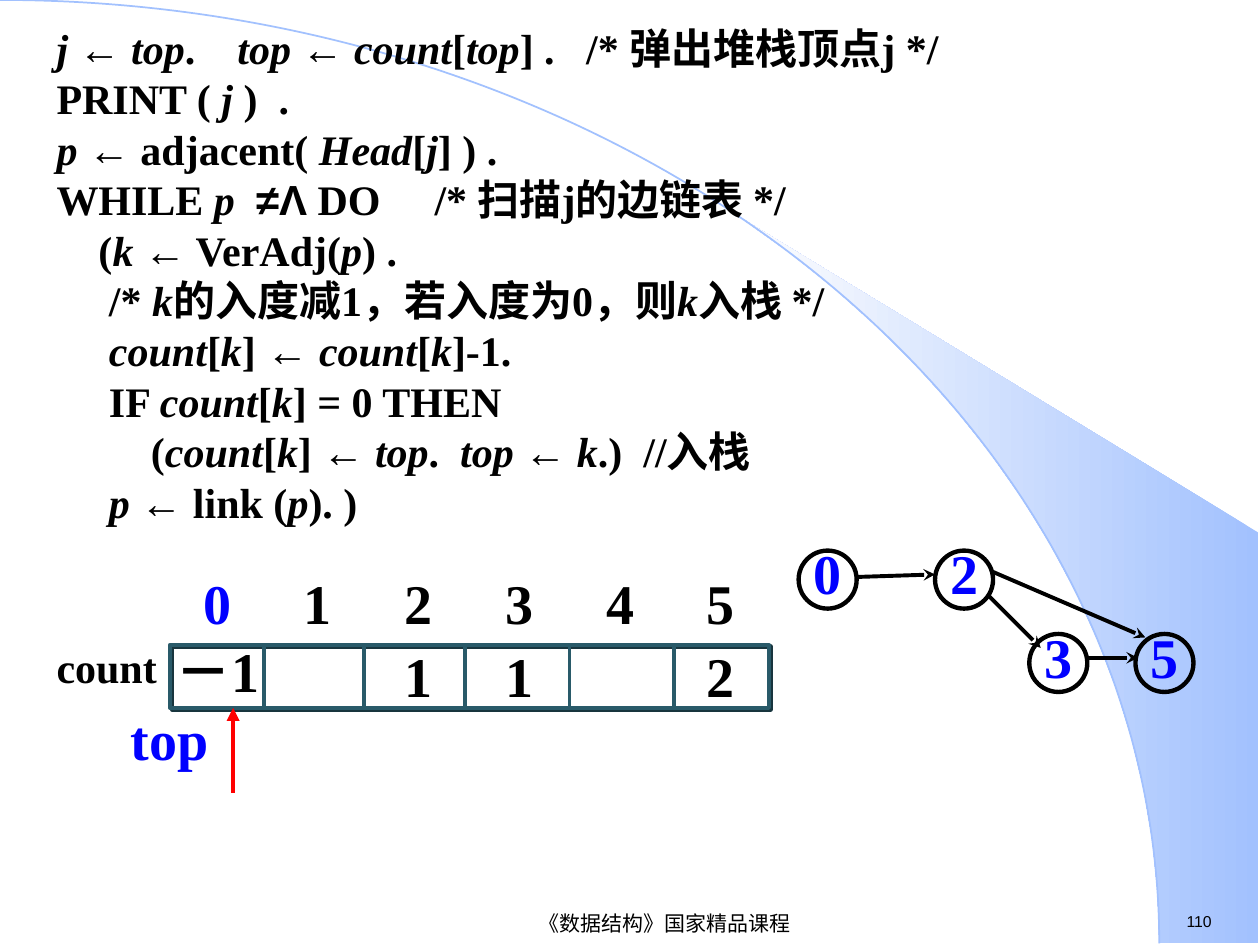
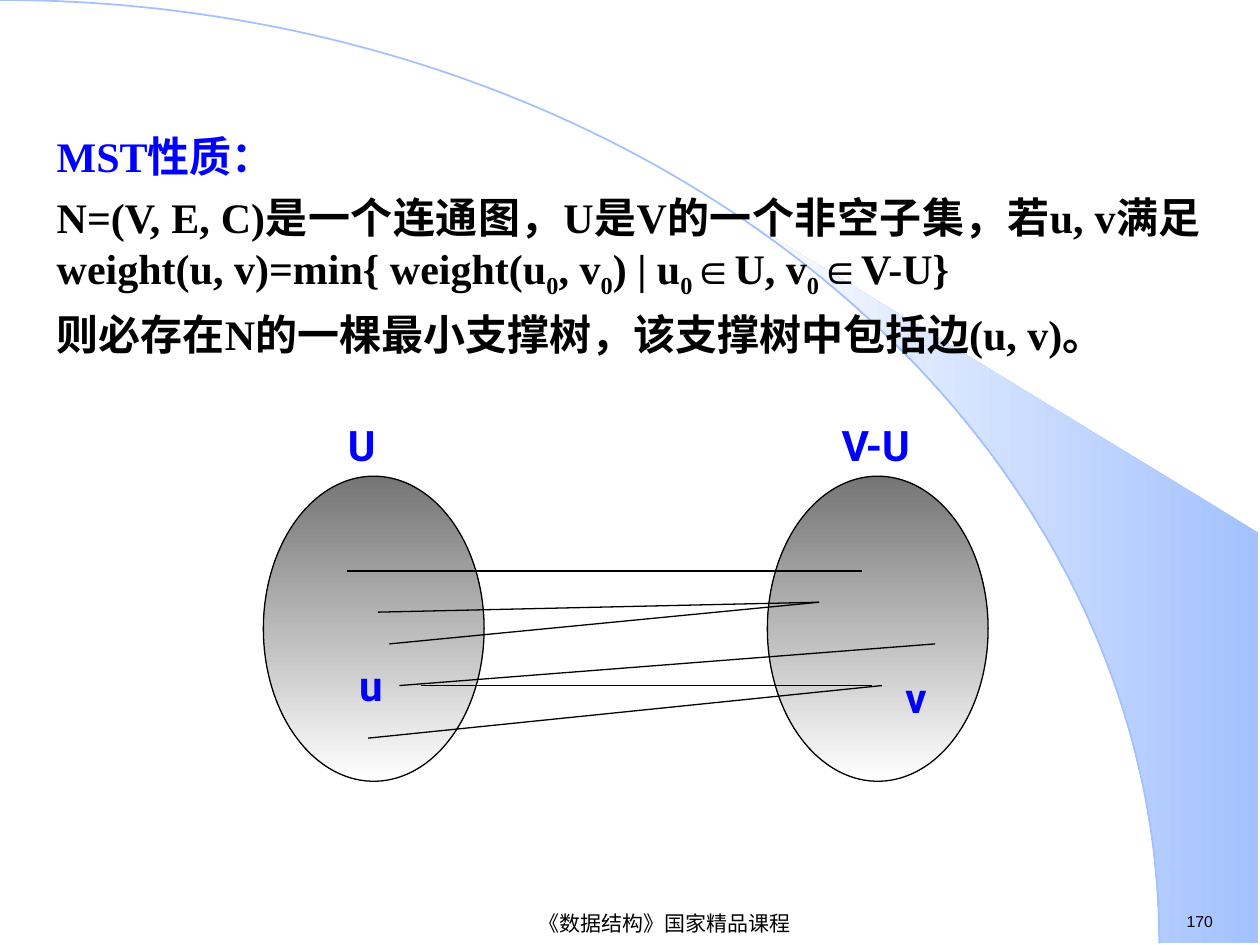
from dataclasses import dataclass
from itertools import groupby
from math import asin, cos, pi, sin
from typing import Callable, Optional

from lxml.etree import SubElement
from pptx import Presentation
from pptx.dml.color import RGBColor
from pptx.enum.shapes import MSO_CONNECTOR, MSO_SHAPE as Preset
from pptx.enum.text import MSO_ANCHOR as Anchor, MSO_AUTO_SIZE as AutoSize, PP_ALIGN as Align
from pptx.oxml.ns import qn
from pptx.slide import Slide
from pptx.util import Cm, Pt

BLACK, BLUE, RED = "000000", "0000FF", "FF0000"
SKY, WHITE, GREY = "A2C1FE", "FEFEFE", "757575"
TEAL, TEAL_SHADOW = "295A69", "18353E"
SERIF, SANS, LABEL_SANS = "Times New Roman", "Arial", "Roboto"
SYMBOLS = "←≠Λ"
FOOTER = "《数据结构》国家精品课程"
WIDTH, HEIGHT = 25.4, 19.05


@dataclass(frozen=True)
class Label:
    text: str
    left: float
    top: float
    width: float
    height: float = 1.62
    size: float = 32
    color: str = BLACK
    font: str = SERIF
    bold: bool = True
    align: Align = Align.CENTER
    wrap: bool = True


@dataclass(frozen=True)
class Line:
    x1: float
    y1: float
    x2: float
    y2: float
    color: str = BLACK
    weight: float = 2.25
    arrow: Optional[str] = None


@dataclass(frozen=True)
class Node:
    name: str
    left: float
    top: float


def rgb(value: str) -> RGBColor:
    return RGBColor.from_string(value)


def style_font(font, size: float, color: str, name: str = SERIF, bold: bool = True) -> None:
    font.size, font.name, font.bold = Pt(size), name, bold
    font.color.rgb = rgb(color)


def add_label(slide: Slide, label: Label):
    box = slide.shapes.add_textbox(Cm(label.left), Cm(label.top), Cm(label.width), Cm(label.height))
    frame = box.text_frame
    frame.word_wrap = label.wrap
    frame.text = label.text
    paragraph = frame.paragraphs[0]
    paragraph.alignment = label.align
    style_font(paragraph.runs[0].font, label.size, label.color, label.font, label.bold)
    return box


def add_line(slide: Slide, line: Line) -> None:
    connector = slide.shapes.add_connector(
        MSO_CONNECTOR.STRAIGHT, Cm(line.x1), Cm(line.y1), Cm(line.x2), Cm(line.y2))
    connector.line.color.rgb = rgb(line.color)
    connector.line.width = Pt(line.weight)
    properties = connector._element.spPr
    if line.arrow:
        SubElement(properties.find(qn("a:ln")), qn("a:tailEnd"), type=line.arrow)
    SubElement(properties, qn("a:effectLst"))


def add_outline(slide: Slide, preset: Preset, left: float, top: float, width: float,
                height: float, color: str, weight: float):
    shape = slide.shapes.add_shape(preset, Cm(left), Cm(top), Cm(width), Cm(height))
    shape.shadow.inherit = False
    shape.fill.background()
    shape.line.color.rgb = rgb(color)
    shape.line.width = Pt(weight)
    return shape


def fill_gradient(shape, start: str, end: str, angle: float) -> None:
    shape.fill.gradient()
    shape.fill.gradient_angle = angle
    for stop, color in zip(shape.fill.gradient_stops, (start, end)):
        stop.color.rgb = rgb(color)


def make_italic(font) -> None:
    font.italic = True


def make_subscript(font) -> None:
    font._element.set("baseline", "-25000")


def add_marked_runs(paragraph, text: str, color: str, mark: Callable) -> None:
    """Write text in which the parts between underscores get the mark."""
    for index, part in enumerate(text.split("_")):
        for is_symbol, letters in groupby(part, key=lambda letter: letter in SYMBOLS):
            run = paragraph.add_run()
            run.text = "".join(letters)
            style_font(run.font, 24, color, SANS if is_symbol else SERIF)
            if index % 2:
                mark(run.font)


def next_paragraph(frame, index: int):
    paragraph = frame.add_paragraph() if index else frame.paragraphs[0]
    paragraph.alignment = Align.JUSTIFY
    return paragraph


# Shared backdrop: shaded wedge, arc and footer, placed on the master
def add_backdrop(presentation, slide: Slide) -> None:
    radius_x, radius_y, steps = 23.37, 19.02, 16
    first = asin(0.64)
    angles = [first + (pi / 2 - first) * step / steps for step in range(steps + 1)]
    curve = [(radius_x * sin(angle), radius_y * (1 - cos(angle))) for angle in angles]
    outline = [(Cm(x), Cm(y)) for x, y in curve + [(25.37, 19.02), (25.37, 10.74)]]
    builder = slide.shapes.build_freeform(*outline[0], scale=1.0)
    builder.add_line_segments(outline[1:], close=True)
    wedge = builder.convert_to_shape()
    wedge.shadow.inherit = False
    wedge.line.fill.background()
    fill_gradient(wedge, SKY, WHITE, 180)

    arc = add_outline(slide, Preset.ARC, -radius_x, 0, 2 * radius_x, 2 * radius_y, SKY, 1)
    footer = add_label(slide, Label(FOOTER, 6.1, 18.31, 14.6, 0.61, 12, font=SANS,
                                    bold=False, wrap=False))
    footer.text_frame.vertical_anchor = Anchor.MIDDLE
    master_tree = presentation.slide_master.shapes._spTree
    for shape in (wedge, arc, footer):
        master_tree.append(shape._element)


def add_page_number(slide: Slide, number: int) -> None:
    add_label(slide, Label(str(number), 23.67, 18.26, 1.7, 0.64, 9, font=SANS,
                           bold=False, align=Align.LEFT, wrap=False))


# Slide 1: topological sort step
CODE = [
    "_j _← _top_.    _top _← _count_[_top_] .   /* 弹出堆栈顶点j */",
    "PRINT ( _j _)  .",
    "_p _← adjacent( _Head_[_j_] ) .",
    "WHILE_ p  _≠Λ DO\t/* 扫描j的边链表 */",
    "    (_k _← VerAdj(_p_) .",
    "     /* _k_的入度减1，若入度为0，则_k_入栈 */",
    "_     count_[_k_] ← _count_[_k_]-1.",
    "     IF _count_[_k_] = 0 THEN",
    "         (_count_[_k_] ← _top_.  _top _← _k_.)  //入栈",
    "_     p _← link (_p_). )",
]
NODES = [Node("3", 20.75, 12.78), Node("2", 18.85, 11.1),
         Node("5", 22.89, 12.78), Node("0", 16.1, 11.1)]
NODE_SIZE = 1.17
EDGES = [(17.3, 11.63, 18.85, 11.58), (19.91, 11.99, 20.98, 13.06),
         (21.87, 13.26, 22.94, 13.26), (20.02, 11.53, 23.09, 12.85)]
ARRAY_LEFT, ARRAY_TOP, ARRAY_WIDTH, ARRAY_HEIGHT = 3.43, 13.0, 12.07, 1.27
ARRAY_BOTTOM = ARRAY_TOP + ARRAY_HEIGHT
DIVIDERS = [5.33, 7.34, 9.37, 11.48, 13.59]
COLUMN_STEP, COLUMN_WIDTH = 2.03, 1.9
COUNTS = {2: "1", 3: "1", 5: "2"}


def add_code(slide: Slide) -> None:
    box = slide.shapes.add_textbox(Cm(0.89), Cm(0.33), Cm(19.5), Cm(10.41))
    box.text_frame.word_wrap = True
    for index, line in enumerate(CODE):
        paragraph = next_paragraph(box.text_frame, index)
        tabs = SubElement(paragraph._p.get_or_add_pPr(), qn("a:tabLst"))
        SubElement(tabs, qn("a:tab"), pos=str(Cm(7.62)), algn="l")
        add_marked_runs(paragraph, line, BLACK, make_italic)


def add_graph(slide: Slide) -> None:
    for node in NODES:
        add_outline(slide, Preset.OVAL, node.left, node.top, NODE_SIZE, NODE_SIZE, BLACK, 2.5)
        add_label(slide, Label(node.name, node.left, node.top - 0.36, NODE_SIZE, color=BLUE))
    for edge in EDGES:
        add_line(slide, Line(*edge, arrow="stealth"))


def add_count_array(slide: Slide) -> None:
    frame = add_outline(slide, Preset.RECTANGLE, ARRAY_LEFT, ARRAY_TOP,
                        ARRAY_WIDTH, ARRAY_HEIGHT, TEAL, 2.5)
    effects = frame._element.spPr.find(qn("a:effectLst"))
    shadow = SubElement(effects, qn("a:outerShdw"), dist=str(Pt(1.4)), dir="2700000", algn="ctr")
    SubElement(shadow, qn("a:srgbClr"), val=TEAL_SHADOW)
    for x in DIVIDERS:
        add_line(slide, Line(x, ARRAY_TOP, x, ARRAY_BOTTOM, TEAL))

    add_label(slide, Label("－1", 3.02, 12.7, 2.74))
    for column in range(6):
        left = ARRAY_LEFT + COLUMN_STEP * column
        add_label(slide, Label(str(column), left, 11.33, COLUMN_WIDTH,
                               color=BLACK if column else BLUE))
        if column in COUNTS:
            add_label(slide, Label(COUNTS[column], left, 12.8, COLUMN_WIDTH))
    add_label(slide, Label("count", 0.89, 12.8, 3.18, 1.27, 24, align=Align.LEFT))
    add_label(slide, Label("top", 2.39, 14.07, 2.54, color=BLUE, align=Align.LEFT))
    add_line(slide, Line(4.7, 15.98, 4.7, ARRAY_BOTTOM, RED, 2.5, "triangle"))


# Slide 2: property of minimum spanning trees
PROPERTY = [
    ("MST性质：", BLUE, 0),
    ("N=(V, E, C)是一个连通图，U是V的一个非空子集，若u, v满足weight(u, v)=min{ weight(u_0_, v_0_)"
     " | u_0_∈U, v_0_∈V-U}", BLACK, 6),
    ("则必存在N的一棵最小支撑树，该支撑树中包括边(u, v)。", BLACK, 5),
]
SET_LEFTS = [5.31, 15.47]
SET_LABELS = [("U", 6.34, 8.33), ("V-U", 16.17, 8.33), ("u", 6.53, 13.18), ("v", 16.98, 13.41)]
LINKS = [(6.99, 11.51, 17.37, 11.51), (8.48, 13.82, 17.58, 13.82),
         (7.85, 12.98, 16.51, 12.14), (7.42, 14.88, 17.78, 13.82),
         (7.62, 12.34, 16.51, 12.14), (8.05, 13.82, 18.85, 12.98)]


def fill_property(body) -> None:
    body.left, body.top, body.width, body.height = Cm(0.89), Cm(2.51), Cm(23.57), Cm(5)
    frame = body.text_frame
    frame.auto_size = AutoSize.NONE
    for index, (text, color, space) in enumerate(PROPERTY):
        paragraph = next_paragraph(frame, index)
        paragraph.space_before = Pt(space)
        properties = paragraph._p.get_or_add_pPr()
        properties.set("marL", "0")
        properties.set("indent", "0")
        SubElement(properties, qn("a:buNone"))
        add_marked_runs(paragraph, text, color, make_subscript)


def add_vertex_sets(slide: Slide) -> None:
    for left in SET_LEFTS:
        oval = add_outline(slide, Preset.OVAL, left, 9.6, 4.45, 6.15, BLACK, 0.75)
        fill_gradient(oval, GREY, "FFFFFF", 270)
    for link in LINKS:
        add_line(slide, Line(*link, weight=0.75))
    for text, left, top in SET_LABELS:
        width = 2.97 if left > 16 else 1.9
        add_label(slide, Label(text, left, top, width, 1.27, 24, BLUE, LABEL_SANS))


def main() -> None:
    presentation = Presentation()
    presentation.slide_width, presentation.slide_height = Cm(WIDTH), Cm(HEIGHT)

    sort_slide = presentation.slides.add_slide(presentation.slide_layouts[6])
    add_backdrop(presentation, sort_slide)
    add_page_number(sort_slide, 110)
    add_graph(sort_slide)
    add_count_array(sort_slide)
    add_code(sort_slide)

    tree_slide = presentation.slides.add_slide(presentation.slide_layouts[1])
    title = tree_slide.shapes.title._element
    title.getparent().remove(title)
    add_page_number(tree_slide, 170)
    fill_property(tree_slide.placeholders[1])
    add_vertex_sets(tree_slide)

    presentation.save("out.pptx")


if __name__ == "__main__":
    main()
